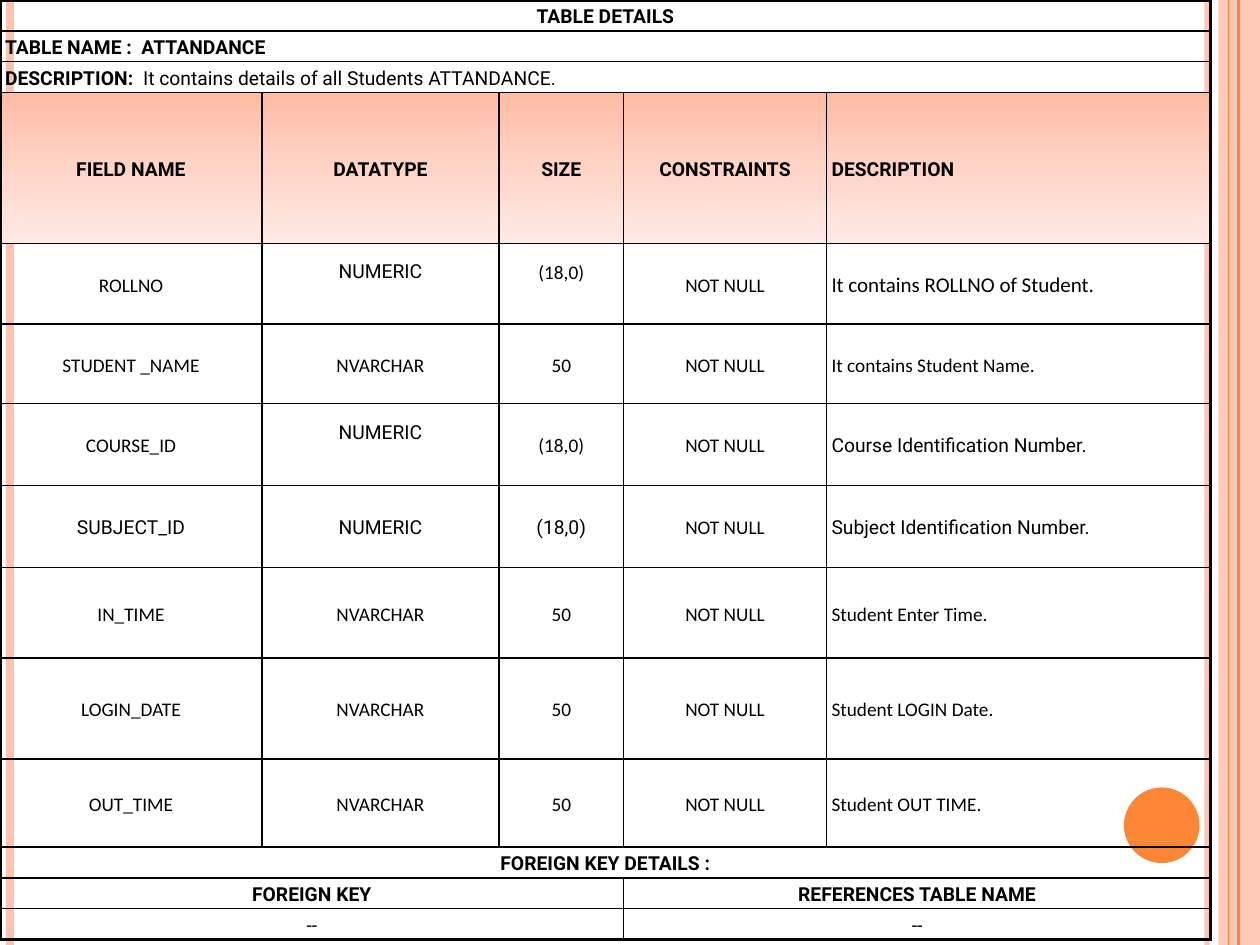
"""Build the ATTANDANCE table-definition slide."""
from dataclasses import dataclass, field
from typing import Any, NamedTuple

from lxml.etree import SubElement
from pptx import Presentation
from pptx.dml.color import RGBColor
from pptx.enum.shapes import MSO_CONNECTOR, MSO_SHAPE
from pptx.enum.text import MSO_ANCHOR, PP_ALIGN
from pptx.oxml.ns import qn
from pptx.util import Inches, Pt


@dataclass(frozen=True)
class Theme:
    """Colours, fonts and sizes of the slide."""
    ink: str = "000000"
    orange: str = "FE8637"
    peach: str = "FEC3AE"
    head: tuple = ((0, "FFBBA3"), (50, "FFD4C7"), (100, "FFEAE4"))
    label: str = "Roboto"
    body: str = "Calibri"
    size: float = 11
    large: float = 12
    thin: float = 1
    thick: float = 2.25
    spacing: float = 1.15


T = Theme()


class Rule(NamedTuple):
    """A vertical line over the full slide height."""
    x: float
    color: str
    width: float
    alpha: int = 100


class Panel(NamedTuple):
    """A filled preset shape."""
    kind: Any
    box: tuple
    color: str
    alpha: int = 100


@dataclass(frozen=True)
class Cell:
    """Text runs, as (text, bold) pairs, and their layout in one table cell."""
    runs: tuple
    font: str = T.body
    size: float = T.size
    center: bool = True
    span: int = 1
    raised: bool = False


@dataclass(frozen=True)
class Row:
    """A table row."""
    height: float
    cells: list = field(default_factory=list)
    shaded: bool = False


def text(words: str, **fmt: Any) -> Cell:
    """Return a regular cell."""
    return Cell(((words, False),), **fmt)


def label(words: str, **fmt: Any) -> Cell:
    """Return a bold heading cell."""
    return Cell(((words, True),), font=T.label, **fmt)


def column(height: float, name: str, kind: str, size: str, note: str, /,
           **looks: dict) -> Row:
    """Return the row for one database field; looks overrides cell formats."""
    parts = {"name": name, "kind": kind, "size": size,
             "rule": "NOT NULL", "note": note}
    return Row(height, [text(v, **{"center": k != "note", **looks.get(k, {})})
                        for k, v in parts.items()])


RULES = [Rule(9.58, T.peach, 3, 93), Rule(0.08, T.peach, 4.5),
         Rule(9.83, T.orange, 1.5), Rule(9.75, T.orange, 0.75)]
PANELS = [Panel(MSO_SHAPE.RECTANGLE, (9.67, 0, 0.33, 7.5), T.peach, 87),
          Panel(MSO_SHAPE.OVAL, (8.92, 6.25, 0.6, 0.6), T.orange)]
WIDTHS = [2.08, 1.88, 0.99, 1.61, 3.05]
LINE = 0.24
ROBOTO = {"font": T.label}
RAISED = {"raised": True}
ROWS = [
    Row(LINE, [label("TABLE DETAILS", span=5)]),
    Row(LINE, [label("TABLE NAME :  ATTANDANCE", span=5, center=False)]),
    Row(LINE, [Cell((("DESCRIPTION:  ", True),
                     ("It contains details of all Students ATTANDANCE.", False)),
                    font=T.label, span=5, center=False)]),
    Row(1.2, [*map(label, ("FIELD NAME", "DATATYPE", "SIZE", "CONSTRAINTS")),
              label("DESCRIPTION", center=False)], shaded=True),
    column(0.64, "ROLLNO", "NUMERIC", "(18,0)", "It contains ROLLNO of Student.",
           kind=ROBOTO | RAISED, size=RAISED, note={"size": T.large}),
    column(0.63, "STUDENT _NAME", "NVARCHAR", "50", "It contains Student Name."),
    column(0.65, "COURSE_ID", "NUMERIC", "(18,0)", "Course Identification Number.",
           kind=ROBOTO | RAISED, note=ROBOTO),
    column(0.65, "SUBJECT_ID", "NUMERIC", "(18,0)", "Subject Identification Number.",
           name=ROBOTO, kind=ROBOTO, size=ROBOTO, note=ROBOTO),
    column(0.72, "IN_TIME", "NVARCHAR", "50", "Student Enter Time."),
    column(0.8, "LOGIN_DATE", "NVARCHAR", "50", "Student LOGIN Date."),
    column(0.7, "OUT_TIME", "NVARCHAR", "50", "Student OUT TIME."),
    Row(LINE, [label("FOREIGN KEY DETAILS :", span=5)]),
    Row(LINE, [label("FOREIGN KEY", span=3), label("REFERENCES TABLE NAME", span=2)]),
    Row(LINE, [text("--", span=3, **ROBOTO), text("--", span=2, **ROBOTO)]),
]


def apply(obj: Any, fmt: dict) -> None:
    """Set every attribute named in fmt."""
    for name, value in fmt.items():
        setattr(obj, name, value)


def paint(fill: Any, color: str, alpha: int, elem: Any) -> None:
    """Give a fill a solid colour and, below 100, an opacity."""
    fill.solid()
    fill.fore_color.rgb = RGBColor.from_string(color)
    if alpha < 100:
        clr = next(elem.iter(qn("a:srgbClr")))
        SubElement(clr, qn("a:alpha"), val=str(alpha * 1000))


def draw_rule(s: Any, rule: Rule) -> None:
    """Draw a vertical line."""
    x = Inches(rule.x)
    c = s.shapes.add_connector(MSO_CONNECTOR.STRAIGHT, x, 0, x, Inches(7.5))
    c.line.width = Pt(rule.width)
    paint(c.line.fill, rule.color, rule.alpha, c._element.spPr)
    SubElement(c._element.spPr, qn("a:effectLst"))


def draw_panel(s: Any, panel: Panel) -> None:
    """Draw a filled shape with no outline."""
    sp = s.shapes.add_shape(panel.kind, *map(Inches, panel.box))
    sp.shadow.inherit = False
    sp.line.fill.background()
    paint(sp.fill, panel.color, panel.alpha, sp._element.spPr)


def style_cell(cell: Any, edges: dict, shaded: bool) -> None:
    """Draw the borders and then the fill of a cell."""
    tcPr = cell._tc.get_or_add_tcPr()
    for side, width in edges.items():
        ln = SubElement(tcPr, qn(f"a:ln{side}"), w=str(int(Pt(width))))
        fill = SubElement(ln, qn("a:solidFill" if width else "a:noFill"))
        if width:
            SubElement(fill, qn("a:srgbClr"), val=T.ink)
    if not shaded:
        cell.fill.background()
        return
    grad = SubElement(tcPr, qn("a:gradFill"), rotWithShape="1")
    stops = SubElement(grad, qn("a:gsLst"))
    for pos, color in T.head:
        gs = SubElement(stops, qn("a:gs"), pos=str(pos * 1000))
        SubElement(gs, qn("a:srgbClr"), val=color)
    SubElement(grad, qn("a:lin"), ang=str(90 * 60000), scaled="0")


def write_cell(cell: Any, item: Cell) -> None:
    """Write the text of a cell."""
    apply(cell, {"vertical_anchor": MSO_ANCHOR.MIDDLE,
                 "margin_left": Inches(0.04), "margin_right": Inches(0.04),
                 "margin_top": Inches(0.02),
                 "margin_bottom": Inches(0.23 if item.raised else 0.02)})
    p = cell.text_frame.paragraphs[0]
    apply(p, {"line_spacing": T.spacing,
              "alignment": PP_ALIGN.CENTER if item.center else PP_ALIGN.LEFT})
    for words, bold in item.runs:
        r = p.add_run()
        r.text = words
        apply(r.font, {"name": item.font, "size": Pt(item.size), "bold": bold})
        r.font.color.rgb = RGBColor.from_string(T.ink)


def draw_table(s: Any) -> None:
    """Draw the table with thick outer and thin inner borders."""
    n, m = len(ROWS), len(WIDTHS)
    tbl = s.shapes.add_table(n, m, 0, 0, Inches(sum(WIDTHS)),
                             Inches(sum(row.height for row in ROWS))).table
    apply(tbl, {"first_row": False, "horz_banding": False})
    for col, width in zip(tbl.columns, WIDTHS):
        col.width = Inches(width)
    for i, row in enumerate(ROWS):
        tbl.rows[i].height = Inches(row.height)
        start = 0
        for item in row.cells:
            end = start + item.span
            for j in range(start, end):
                left = T.thin if j == start else 0
                right = T.thin if j in (start, end - 1) else 0
                edges = {"L": T.thick if j == 0 else left,
                         "R": T.thick if end == m and right else right,
                         "T": T.thick if i == 0 else T.thin,
                         "B": T.thick if i == n - 1 else T.thin}
                style_cell(tbl.cell(i, j), edges, row.shaded)
            if item.span > 1:
                tbl.cell(i, start).merge(tbl.cell(i, end - 1))
            write_cell(tbl.cell(i, start), item)
            start = end


def main() -> None:
    """Build and save the slide."""
    prs = Presentation()
    apply(prs, {"slide_width": Inches(10), "slide_height": Inches(7.5)})
    s = prs.slides.add_slide(prs.slide_layouts[6])
    for panel in PANELS:
        draw_panel(s, panel)
    for rule in RULES:
        draw_rule(s, rule)
    draw_table(s)
    prs.save("out.pptx")


if __name__ == "__main__":
    main()
